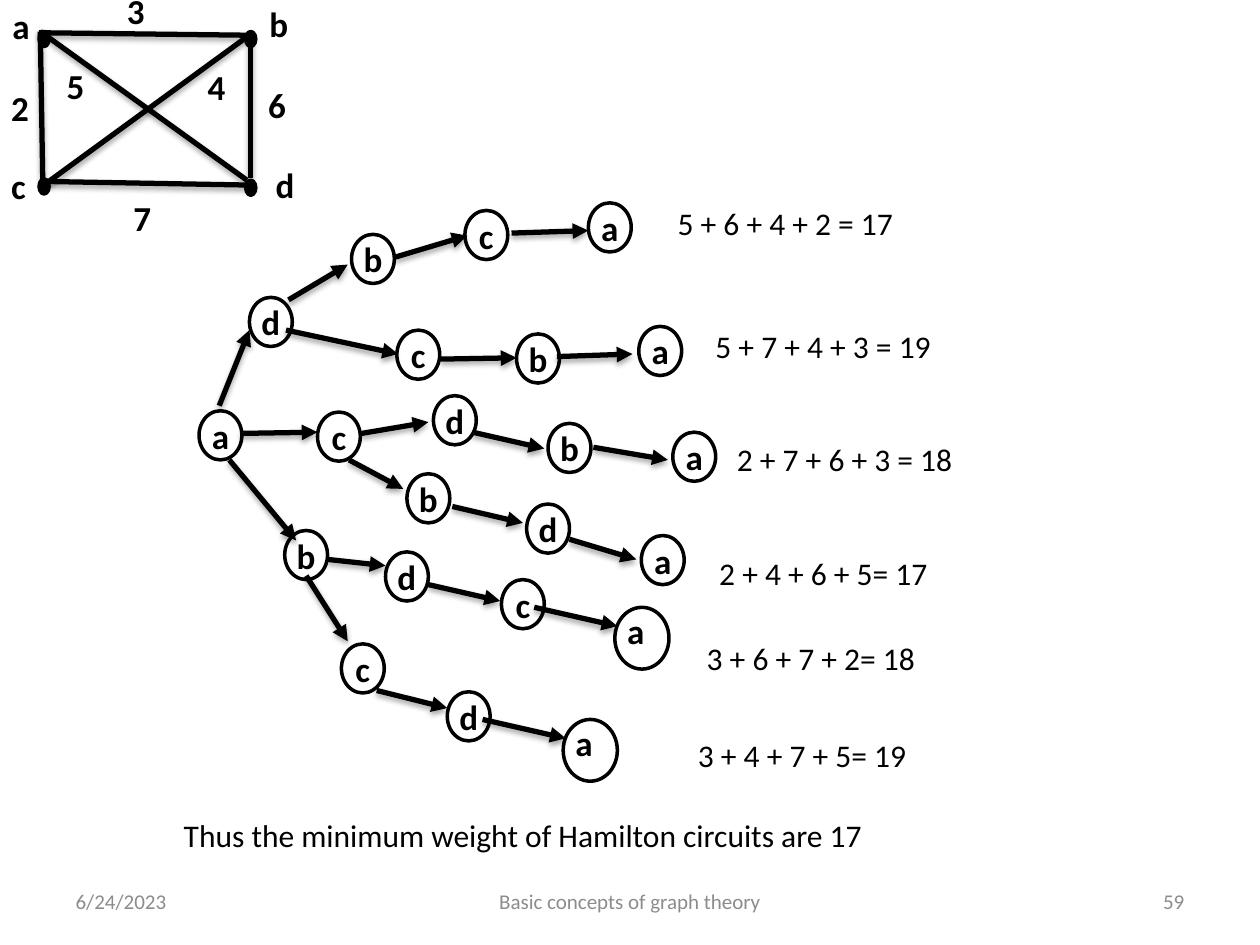
from copy import deepcopy

from lxml.etree import SubElement
from pptx import Presentation
from pptx.dml.color import RGBColor
from pptx.enum.shapes import MSO_CONNECTOR, MSO_SHAPE
from pptx.enum.text import MSO_ANCHOR, PP_ALIGN
from pptx.oxml import parse_xml
from pptx.oxml.ns import nsdecls, qn
from pptx.util import Pt

PX = 9144  # 100 px to the inch
BLACK = RGBColor(0x00, 0x00, 0x00)
GRAY = RGBColor(0x8C, 0x8C, 0x8C)
FONT = "Calibri"
SMALL_NODE, LARGE_NODE = (34, 39), (43, 49)

SHADOW = f"""<a:effectLst {nsdecls('a')}>
  <a:outerShdw blurRad="40000" dist="23000" dir="5400000" rotWithShape="0">
    <a:srgbClr val="000000"><a:alpha val="35000"/></a:srgbClr>
  </a:outerShdw>
</a:effectLst>"""

# Vertices, edges and labels of the weighted graph
VERTICES = [(0, 0), (164, 0), (0, 117), (164, 118)]
EDGES = [
    (1, 0, 165, 118), (3, 121, 1, 0), (168, 2, 168, 116),
    (3, 119, 172, 122), (0, 1, 169, 3), (5, 121, 164, 5),
]
GRAPH_LABELS = [
    ("a", -31, -26), ("b", 173, -28), ("c", -32, 101), ("d", 178, 100),
    ("3", 60, -38), ("5", 12, 21), ("7", 65, 126),
    ("2", -32, 39), ("4", 124, 22), ("6", 172, 36),
]

# Path walked so far: node position, then the arrow that leads to it
TREE = {
    "a": ((8, 176), None),
    "ad": ((48, 86), (24, 172, 48, 112)),
    "ac": ((102, 177), (41, 194, 102, 193)),
    "ab": ((76, 271), (32, 215, 85, 279)),
    "adb": ((129, 36), (79, 88, 126, 60)),
    "adc": ((165, 112), (77, 112, 166, 131)),
    "acd": ((194, 164), (137, 194, 190, 185)),
    "acb": ((173, 226), (127, 215, 170, 238)),
    "abd": ((156, 288), (110, 294, 156, 299)),
    "abc": ((121, 361), (93, 307, 126, 359)),
    "adbc": ((219, 17), (164, 54, 221, 37)),
    "adcb": ((260, 115), (200, 135, 260, 134)),
    "acdb": ((285, 186), (225, 193, 282, 206)),
    "acbd": ((268, 250), (209, 252, 265, 265)),
    "abdc": ((248, 310), (190, 314, 247, 327)),
    "abcd": ((205, 399), (149, 398, 205, 412)),
    "adbca": ((317, 11), (256, 35, 317, 33)),
    "adcba": ((357, 109), (292, 133, 352, 131)),
    "acdba": ((384, 193), (321, 205, 380, 215)),
    "acbda": ((359, 275), (302, 278, 355, 294)),
    "abdca": ((338, 332), (274, 332, 340, 347)),
    "abcda": ((297, 421), (233, 421, 299, 436)),
}
LARGE_PATHS = {"abdca", "abcda"}
WEIGHTS = [
    ("5 + 6 + 4 + 2 = 17", 378, 7, 194),
    ("5 + 7 + 4 + 3 = 19", 408, 105, 194),
    ("2 + 7 + 6 + 3 = 18", 425, 194, 194),
    ("2 + 4 + 6 + 5= 17", 411, 285, 188),
    ("3 + 6 + 7 + 2= 18", 401, 352, 188),
    ("3 + 4 + 7 + 5= 19", 394, 429, 188),
]


def format_font(paragraph, size, color=BLACK, bold=False):
    font = paragraph.font
    font.name, font.size, font.bold = FONT, Pt(size), bold
    font.color.rgb = color


def add_text(slide, text, left, top, width, height, size, bold=False):
    box = slide.shapes.add_textbox(left * PX, top * PX, width * PX, height * PX)
    box.text_frame.word_wrap = False
    paragraph = box.text_frame.paragraphs[0]
    paragraph.text = text
    format_font(paragraph, size, bold=bold)


def add_line(slide, left, top, ends, arrow=False):
    """Draw a shadowed line between ends, given relative to left and top."""
    x1, y1, x2, y2 = ends
    connector = slide.shapes.add_connector(
        MSO_CONNECTOR.STRAIGHT,
        (left + x1) * PX, (top + y1) * PX, (left + x2) * PX, (top + y2) * PX)
    connector.line.color.rgb = BLACK
    connector.line.width = Pt(3)
    properties = connector.element.spPr
    if arrow:
        SubElement(properties.find(qn("a:ln")), qn("a:tailEnd"), type="triangle")
    properties.append(parse_xml(SHADOW))


def add_ellipse(slide, left, top, width, height):
    ellipse = slide.shapes.add_shape(
        MSO_SHAPE.OVAL, left * PX, top * PX, width * PX, height * PX)
    ellipse.shadow.inherit = False
    ellipse.line.color.rgb = BLACK
    ellipse.line.width = Pt(2)
    return ellipse


def add_node(slide, letter, left, top, large):
    """Draw a ringed letter; a large ring holds it up and left of its centre."""
    ring = add_ellipse(slide, left, top, *(LARGE_NODE if large else SMALL_NODE))
    ring.fill.background()
    frame = ring.text_frame
    frame.word_wrap = False
    frame.vertical_anchor = MSO_ANCHOR.MIDDLE
    frame.margin_left = frame.margin_top = 0
    frame.margin_right = 10 * PX if large else 0
    frame.margin_bottom = 13 * PX if large else 0
    paragraph = frame.paragraphs[0]
    paragraph.text = letter
    paragraph.alignment = PP_ALIGN.CENTER
    format_font(paragraph, 20, bold=True)


def add_weighted_graph(slide, left, top):
    for x, y in VERTICES:
        dot = add_ellipse(slide, left + x, top + y, 8, 12)
        dot.fill.solid()
        dot.fill.fore_color.rgb = BLACK
    for ends in EDGES:
        add_line(slide, left, top, ends)
    for text, x, y in GRAPH_LABELS:
        add_text(slide, text, left + x, top + y, 34, 44, 20, bold=True)


def add_circuit_tree(slide, left, top):
    for path_walked, ((x, y), arrow) in TREE.items():
        add_node(slide, path_walked[-1], left + x, top + y,
                 path_walked in LARGE_PATHS)
        if arrow:
            add_line(slide, left, top, arrow, arrow=True)
    for text, x, y, width in WEIGHTS:
        add_text(slide, text, left + x, top + y, width, 40, 18)


def add_footer(slide, texts):
    """Bring the layout's date, footer and number placeholders to the slide."""
    for placeholder in slide.slide_layout.placeholders:
        slide.shapes.element.append(deepcopy(placeholder.element))
    for placeholder, text in zip(slide.placeholders, texts):
        placeholder.text_frame.text = text
        format_font(placeholder.text_frame.paragraphs[0], 12, GRAY)


def main():
    presentation = Presentation()
    presentation.slide_width = 1000 * PX
    presentation.slide_height = 750 * PX
    slide = presentation.slides.add_slide(presentation.slide_layouts[6])
    add_footer(slide, ["6/24/2023", "Basic concepts of graph theory", "59"])
    add_circuit_tree(slide, 150, 150)
    add_weighted_graph(slide, 31, 25)
    add_text(slide, "Thus the minimum weight of Hamilton circuits are 17",
             136, 643, 565, 40, 18)
    presentation.save("out.pptx")


if __name__ == "__main__":
    main()
